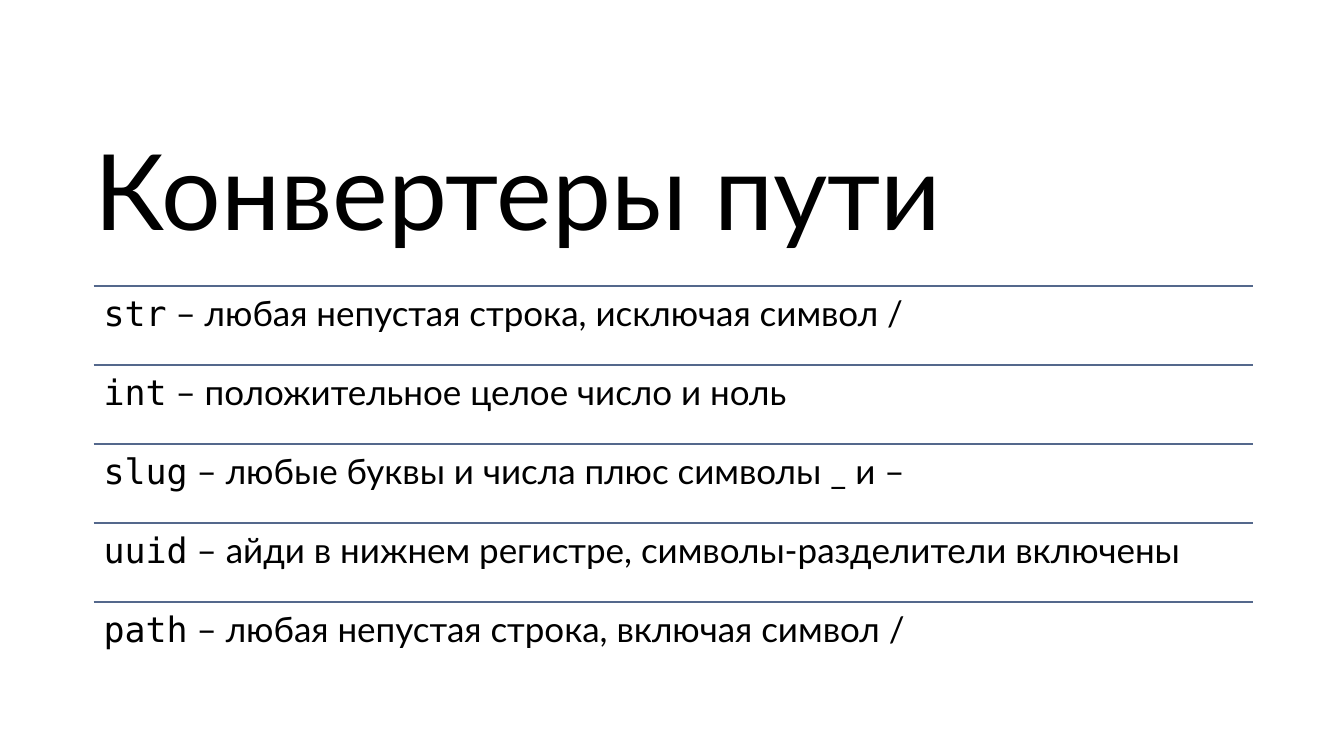
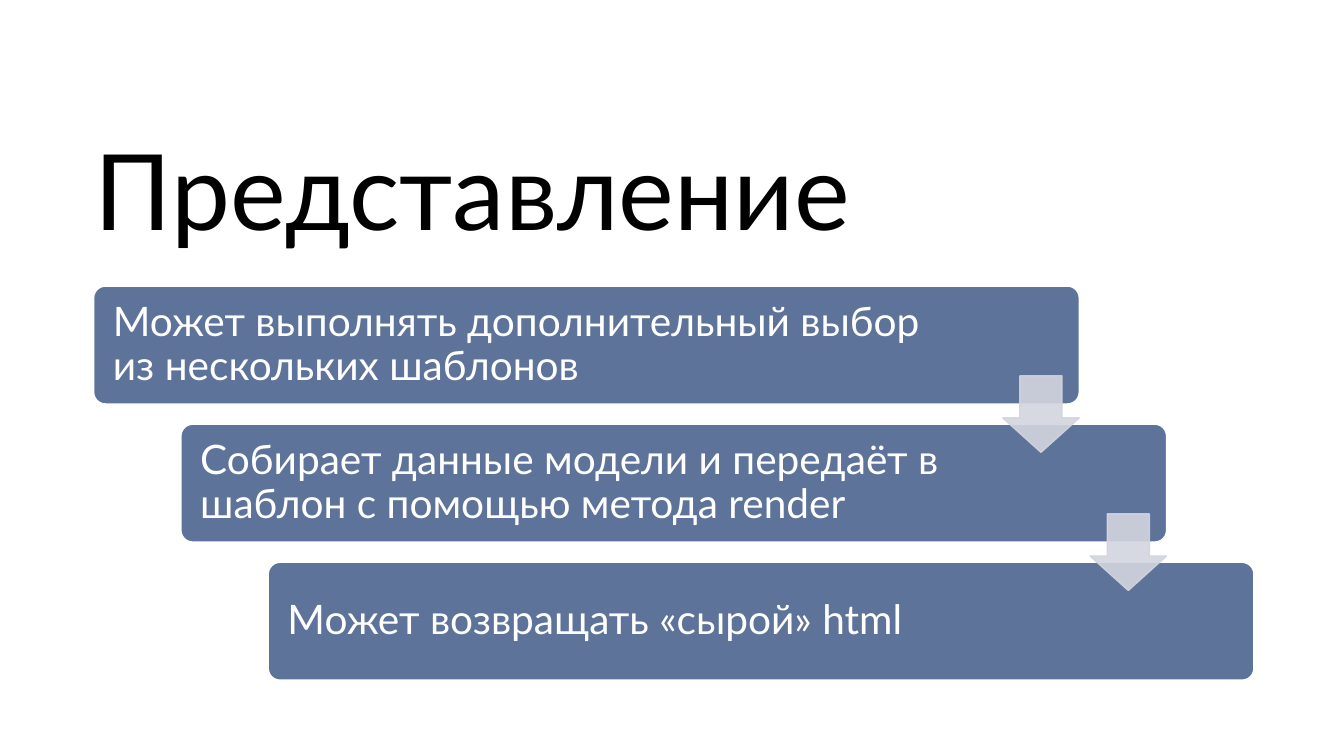
from lxml.etree import SubElement
from pptx import Presentation
from pptx.dml.color import RGBColor
from pptx.enum.shapes import MSO_CONNECTOR as Connector, MSO_SHAPE as Preset
from pptx.enum.text import MSO_ANCHOR as Anchor, PP_ALIGN as Align
from pptx.oxml.ns import qn
from pptx.util import Cm, Pt

BLACK = RGBColor(0x00, 0x00, 0x00)
WHITE = RGBColor(0xFF, 0xFF, 0xFF)
RULE_BLUE = RGBColor(0x54, 0x68, 0x8C)
CARD_BLUE = RGBColor(0x5D, 0x73, 0x9A)
ARROW_GREY = RGBColor(0xD2, 0xD5, 0xDE)

SANS = "Lato"
MONO = "DejaVu Sans Mono"

LEFT, TOP, WIDTH = 2.36, 7.21, 29.21
ROW_HEIGHT = 1.99
CARD_WIDTH, CARD_HEIGHT = 24.84, 2.97
STEP_X, STEP_Y = 2.2, 3.48
ARROW_SIZE, ARROW_DROP = 1.93, 2.26

CONVERTERS = [
    ("str", " – любая непустая строка, исключая символ /"),
    ("int", " – положительное целое число и ноль"),
    ("slug", " – любые буквы и числа плюс символы _ и –"),
    ("uuid", " – айди в нижнем регистре, символы-разделители включены"),
    ("path", " – любая непустая строка, включая символ /"),
]
VIEW_STEPS = [
    "Может выполнять дополнительный выбор из нескольких шаблонов",
    "Собирает данные модели и передаёт в шаблон с помощью метода render",
    "Может возвращать «сырой» html",
]


def write(shape, runs, size, color, insets, anchor):
    frame = shape.text_frame
    frame.word_wrap = True
    frame.vertical_anchor = anchor
    (frame.margin_left, frame.margin_top,
     frame.margin_right, frame.margin_bottom) = map(Cm, insets)
    paragraph = frame.paragraphs[0]
    paragraph.alignment = Align.LEFT
    paragraph.line_spacing = 0.9
    for text, font_name in runs:
        run = paragraph.add_run()
        run.text = text
        run.font.name = font_name
        run.font.size = Pt(size)
        run.font.color.rgb = color


def add_preset(slide, preset, box, adjustments, fill, outline):
    shape = slide.shapes.add_shape(preset, *map(Cm, box))
    for index, value in enumerate(adjustments):
        shape.adjustments[index] = value
    shape.shadow.inherit = False
    shape.fill.solid()
    shape.fill.fore_color.rgb = fill
    shape.line.color.rgb = outline
    shape.line.width = Pt(1)
    return shape


def add_titled_slide(deck, title):
    slide = deck.slides.add_slide(deck.slide_layouts[6])
    heading = slide.shapes.add_textbox(Cm(2.39), Cm(3.1), Cm(WIDTH), Cm(3.68))
    write(heading, [(title, SANS)], 75.2, BLACK, (0, 0, 0, 0), Anchor.MIDDLE)
    return slide


def add_rule(slide, top):
    rule = slide.shapes.add_connector(
        Connector.STRAIGHT, Cm(LEFT), Cm(top), Cm(LEFT + WIDTH), Cm(top))
    rule.line.color.rgb = RULE_BLUE
    rule.line.width = Pt(1)
    SubElement(rule.element.spPr, qn("a:effectLst"))


def add_converter(slide, top, keyword, meaning):
    add_rule(slide, top)
    row = slide.shapes.add_textbox(Cm(LEFT), Cm(top), Cm(WIDTH), Cm(ROW_HEIGHT))
    write(row, [(keyword, MONO), (meaning, SANS)], 25, BLACK,
          (0.25, 0.25, 0.25, 0.25), Anchor.TOP)


def add_card(slide, left, top, text):
    card = add_preset(slide, Preset.ROUNDED_RECTANGLE,
                      (left, top, CARD_WIDTH, CARD_HEIGHT), [0.1], CARD_BLUE, WHITE)
    write(card, [(text, SANS)], 29, WHITE, (0.4, 0.3, 3.43, 0.3), Anchor.MIDDLE)


def add_step_arrow(slide, card_left, card_top):
    box = (card_left + CARD_WIDTH - ARROW_SIZE, card_top + ARROW_DROP,
           ARROW_SIZE, ARROW_SIZE)
    arrow = add_preset(slide, Preset.DOWN_ARROW, box, [0.55, 0.45],
                       ARROW_GREY, ARROW_GREY)
    for color in arrow.element.spPr.iter(qn("a:srgbClr")):
        SubElement(color, qn("a:alpha"), val="90000")


def build_converters(deck):
    slide = add_titled_slide(deck, "Конвертеры пути")
    for index, (keyword, meaning) in enumerate(CONVERTERS):
        add_converter(slide, TOP + index * ROW_HEIGHT, keyword, meaning)


def build_view(deck):
    slide = add_titled_slide(deck, "Представление")
    corners = [(LEFT + index * STEP_X, TOP + index * STEP_Y)
               for index in range(len(VIEW_STEPS))]
    for (left, top), text in zip(corners, VIEW_STEPS):
        add_card(slide, left, top, text)
    for left, top in corners[:-1]:
        add_step_arrow(slide, left, top)


def main():
    deck = Presentation()
    deck.slide_width = Cm(33.87)
    deck.slide_height = Cm(19.05)
    build_converters(deck)
    build_view(deck)
    deck.save("out.pptx")


main()
